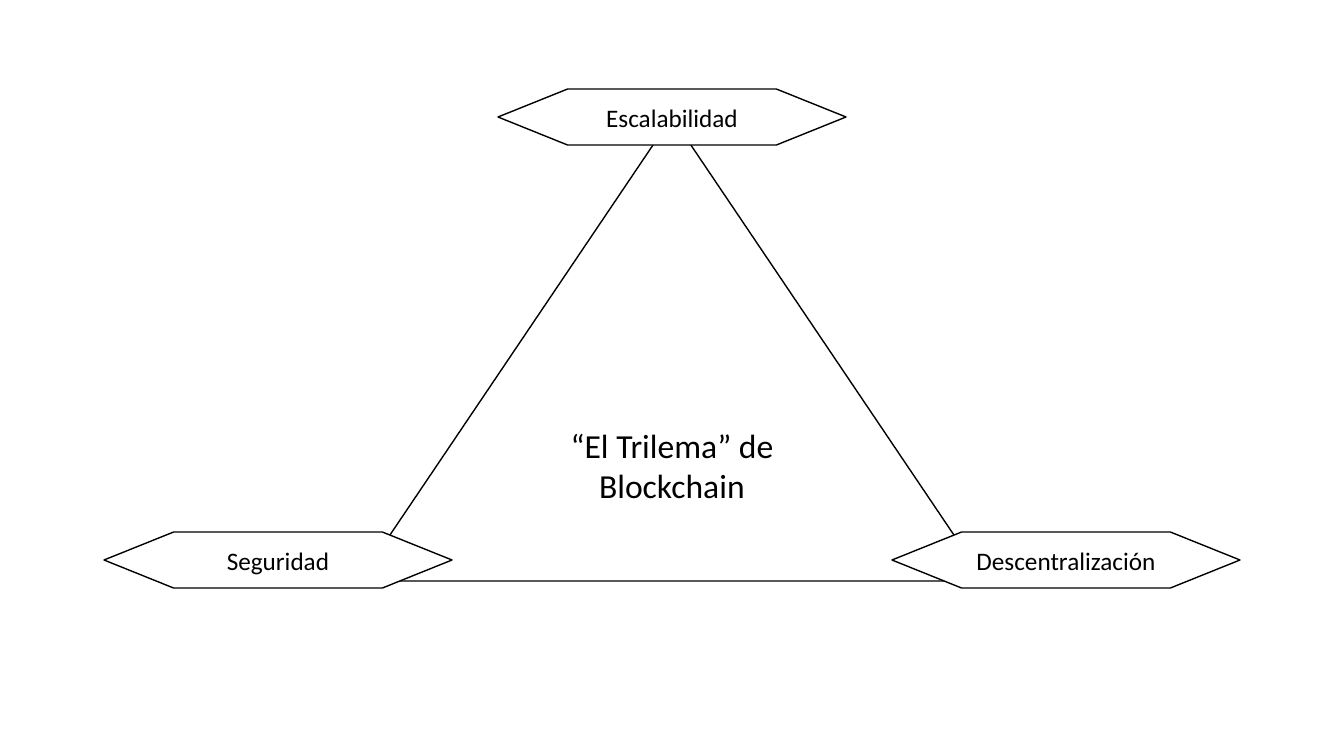
from pptx import Presentation
from pptx import util as u
from pptx.dml.color import RGBColor
from pptx.enum import shapes, text

SCALE = 914400 / 100.8
BLACK, WHITE = "000000", "FFFFFF"


def px(n):
    return u.Emu(round(n * SCALE))


def color(value):
    return RGBColor.from_string(value)


def write(sp, words, size=18, fill=BLACK, font="Calibri"):
    tf = sp.text_frame
    tf.word_wrap = True
    tf.vertical_anchor = text.MSO_ANCHOR.MIDDLE
    p = tf.paragraphs[0]
    p.alignment = text.PP_ALIGN.CENTER
    r = p.add_run()
    r.text = words
    r.font.size = u.Pt(size)
    r.font.name = font
    r.font.color.rgb = color(fill)


def add_box(s, kind, x, y, w, h, words, **fmt):
    sp = s.shapes.add_shape(kind, px(x), px(y), px(w), px(h))
    sp.shadow.inherit = False
    sp.fill.solid()
    sp.fill.fore_color.rgb = color(WHITE)
    sp.line.color.rgb = color(BLACK)
    sp.line.width = u.Pt(1)
    write(sp, words, **fmt)


def trilemma(s, x, y, w, h):
    kind = shapes.MSO_SHAPE
    add_box(s, kind.ISOSCELES_TRIANGLE, x, y, w, h,
            "“El Trilema” de Blockchain", size=24)
    label_w, label_h = 348, 56
    spread, base_lift = 394, 21
    middle, base = x + w // 2, y + h - base_lift
    corners = [
        ("Descentralización", middle + spread, base),
        ("Seguridad", middle - spread, base),
        ("Escalabilidad", middle, y),
    ]
    for words, cx, cy in corners:
        add_box(s, kind.FLOWCHART_PREPARATION, cx - label_w // 2,
                cy - label_h // 2, label_w, label_h, words)


def main():
    prs = Presentation()
    prs.slide_width, prs.slide_height = px(1344), px(756)
    s = prs.slides.add_slide(prs.slide_layouts[6])
    trilemma(s, 359, 117, 626, 464)
    prs.save("out.pptx")


if __name__ == "__main__":
    main()
